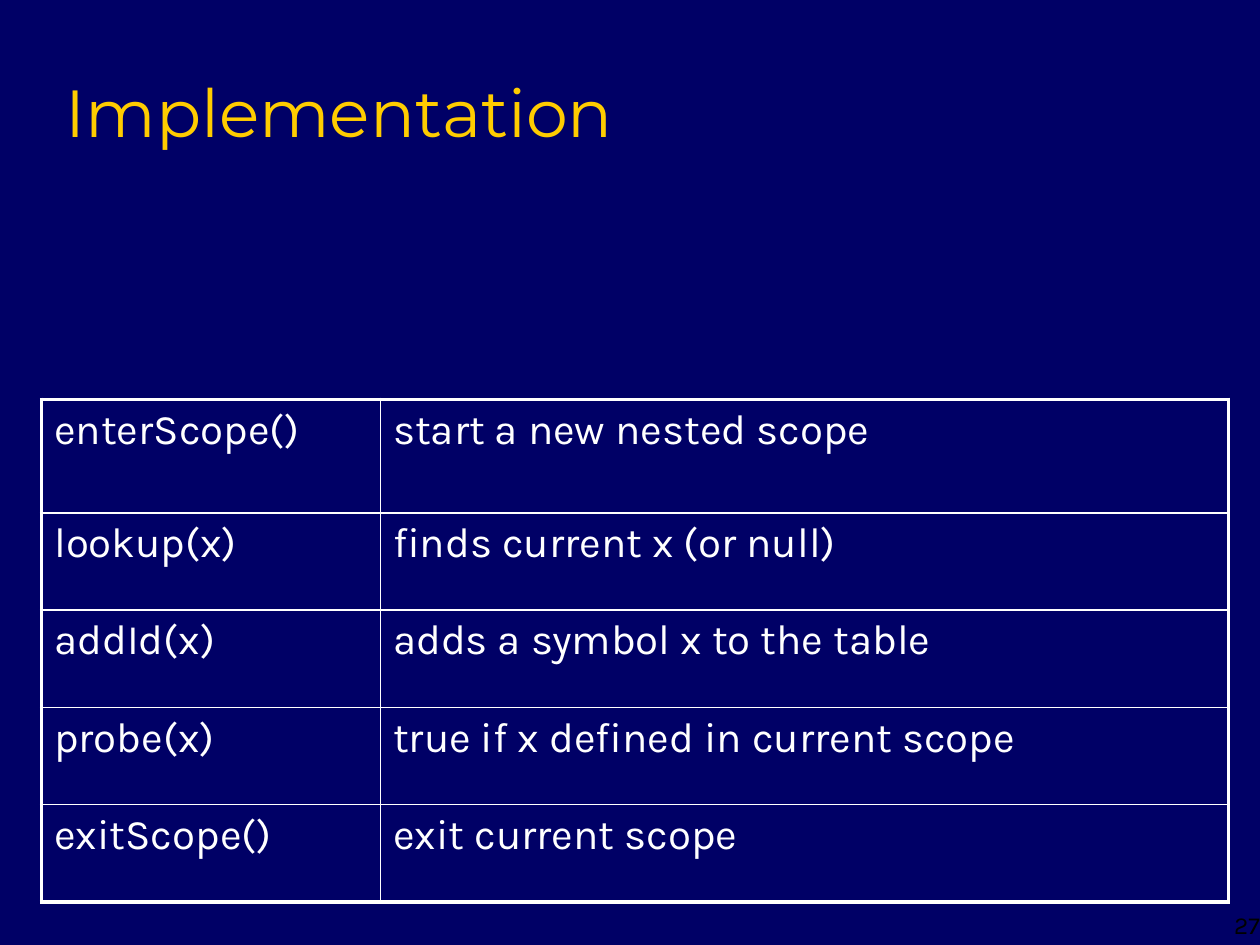
from lxml.etree import SubElement
from pptx import Presentation
from pptx.dml.color import RGBColor
from pptx.enum.text import MSO_ANCHOR, PP_ALIGN
from pptx.oxml.ns import qn
from pptx.util import Cm, Pt

NAVY, GOLD, WHITE, BLACK = "000066", "FFCC00", "FFFFFF", "000000"
TITLE_FORMAT = {"name": "Montserrat", "size": Pt(38)}
CELL_FORMAT = {"name": "Karla", "size": Pt(24)}
NUMBER_FORMAT = {"name": "Karla", "size": Pt(14)}
OPERATIONS = [
    ("enterScope()", "start a new nested scope"),
    ("lookup(x)", "finds current x (or null)"),
    ("addId(x)", "adds a symbol x to the table"),
    ("probe(x)", "true if x defined in current scope"),
    ("exitScope()", "exit current scope"),
]
COLUMN_WIDTHS = [Cm(6.83), Cm(17.09)]
ROW_HEIGHTS = [Cm(2.29)] + [Cm(1.96)] * 4
THIN, THICK = Pt(1), Pt(2.25)


def color(value):
    """Turn a hex string into a colour."""
    return RGBColor.from_string(value)


def write(paragraph, text, font_format, text_color):
    """Add one formatted run to a paragraph."""
    run = paragraph.add_run()
    run.text = text
    for name, value in font_format.items():
        setattr(run.font, name, value)
    run.font.color.rgb = color(text_color)


def add_text(slide, box, text, font_format, text_color, alignment=PP_ALIGN.LEFT):
    """Add a vertically centred text box."""
    frame = slide.shapes.add_textbox(*box).text_frame
    frame.word_wrap = True
    frame.vertical_anchor = MSO_ANCHOR.MIDDLE
    paragraph = frame.paragraphs[0]
    paragraph.alignment = alignment
    write(paragraph, text, font_format, text_color)
    return frame


def set_borders(cell, widths):
    """Draw white cell borders with the width given for each side."""
    properties = cell._tc.get_or_add_tcPr()
    for index, (side, width) in enumerate(widths.items()):
        line = properties.makeelement(qn(f"a:{side}"), {"w": str(int(width))})
        fill = SubElement(line, qn("a:solidFill"))
        SubElement(fill, qn("a:srgbClr"), val=WHITE)
        properties.insert(index, line)


def add_operations_table(slide, left, top):
    """Add the table of operations with a thick outer frame."""
    row_count, column_count = len(OPERATIONS), len(COLUMN_WIDTHS)
    table = slide.shapes.add_table(
        row_count, column_count, left, top, sum(COLUMN_WIDTHS), sum(ROW_HEIGHTS)
    ).table
    table.first_row = table.horz_banding = False
    for column, width in zip(table.columns, COLUMN_WIDTHS):
        column.width = width
    for row, height in zip(table.rows, ROW_HEIGHTS):
        row.height = height
    for row_index, texts in enumerate(OPERATIONS):
        for column_index, text in enumerate(texts):
            cell = table.cell(row_index, column_index)
            cell.fill.background()
            write(cell.text_frame.paragraphs[0], text, CELL_FORMAT, WHITE)
            outer = {
                "lnL": column_index == 0,
                "lnR": column_index == column_count - 1,
                "lnT": row_index == 0,
                "lnB": row_index == row_count - 1,
            }
            set_borders(cell, {side: THICK if edge else THIN for side, edge in outer.items()})


def main():
    """Build and save the slide."""
    presentation = Presentation()
    presentation.slide_width, presentation.slide_height = Cm(25.4), Cm(19.05)
    slide = presentation.slides.add_slide(presentation.slide_layouts[6])
    slide.background.fill.solid()
    slide.background.fill.fore_color.rgb = color(NAVY)
    title_box = Cm(1.07), Cm(0.64), Cm(23.65), Cm(3.18)
    add_text(slide, title_box, "Implementation", TITLE_FORMAT, GOLD)
    add_operations_table(slide, Cm(0.84), Cm(8.05))
    number_box = Cm(23.9), Cm(18.25), Cm(1.5), Cm(0.8)
    number = add_text(slide, number_box, "27", NUMBER_FORMAT, BLACK, PP_ALIGN.RIGHT)
    number.margin_right = number.margin_top = number.margin_bottom = 0
    presentation.save("out.pptx")


if __name__ == "__main__":
    main()
